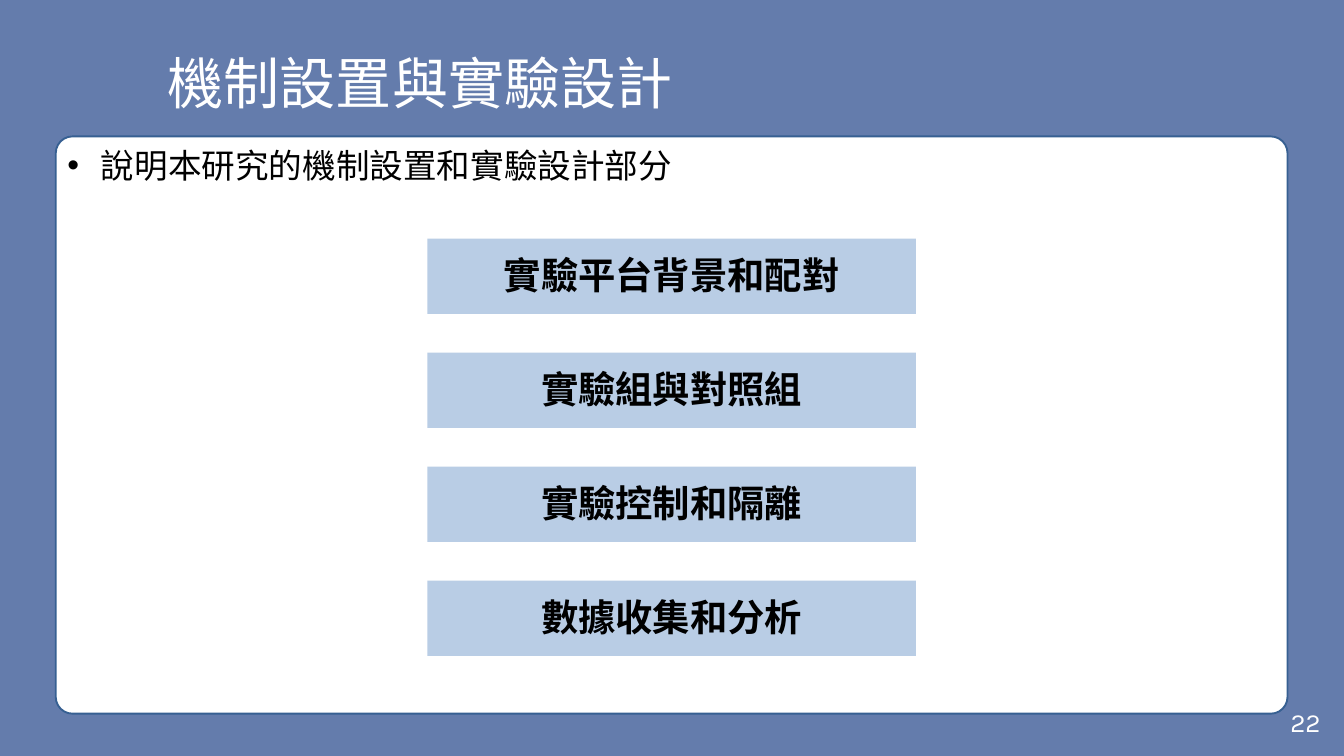
import pptx
import pptx.util
import pptx.dml.color
import pptx.enum.shapes
import pptx.enum.text
from lxml import etree

Inches = pptx.util.Inches
Pt = pptx.util.Pt
Shape = pptx.enum.shapes.MSO_SHAPE
Anchor = pptx.enum.text.MSO_ANCHOR
Align = pptx.enum.text.PP_ALIGN

COLOURS = {
    "background": "647CAC",
    "panel": "FFFFFF",
    "outline": "376092",
    "step": "B9CDE5",
    "dark": "000000",
    "light": "FFFFFF",
}
CJK_FONT = "Noto Sans CJK SC"
STEPS = ["實驗平台背景和配對", "實驗組與對照組", "實驗控制和隔離", "數據收集和分析"]


def colour(name):
    return pptx.dml.color.RGBColor.from_string(COLOURS[name])


def write(frame, text, size, font, ink, align=Align.LEFT, bold=False):
    frame.word_wrap = True
    para = frame.paragraphs[0]
    para.text = text
    para.alignment = align
    para.font.size = Pt(size)
    para.font.name = font
    para.font.bold = bold
    para.font.color.rgb = colour(ink)
    return para


def add_text(shapes, left, top, width, height, anchor=Anchor.TOP, inset=0):
    box = shapes.add_textbox(Inches(left), Inches(top), Inches(width), Inches(height))
    frame = box.text_frame
    frame.vertical_anchor = anchor
    frame.margin_left = frame.margin_right = Inches(inset)
    frame.margin_top = frame.margin_bottom = 0
    return frame


def add_block(shapes, kind, left, top, width, height, fill):
    block = shapes.add_shape(kind, Inches(left), Inches(top), Inches(width), Inches(height))
    block.shadow.inherit = False
    block.fill.solid()
    block.fill.fore_color.rgb = colour(fill)
    block.line.fill.background()
    return block


def add_title(page, left, top, width, height):
    frame = add_text(page.shapes, left, top, width, height, Anchor.MIDDLE)
    write(frame, "機制設置與實驗設計", 60, CJK_FONT, "light")


def add_panel(page, left, top, width, height):
    panel = add_block(page.shapes, Shape.ROUNDED_RECTANGLE, left, top, width, height, "panel")
    panel.adjustments[0] = 0.029
    panel.line.color.rgb = colour("outline")
    panel.line.width = Pt(2)
    frame = panel.text_frame
    frame.vertical_anchor = Anchor.TOP

    # Bullet with a hanging indent
    properties = frame.paragraphs[0]._p.get_or_add_pPr()
    properties.set("marL", str(Inches(0.5)))
    properties.set("indent", str(-Inches(0.5)))
    namespace = properties.nsmap["a"]
    etree.SubElement(properties, f"{{{namespace}}}buFont", typeface="Arial")
    etree.SubElement(properties, f"{{{namespace}}}buChar", char="•")
    write(frame, "說明本研究的機制設置和實驗設計部分", 36, CJK_FONT, "dark")


def add_steps(page, left, top, width, height):
    bar_height, label_height, side = 1.12, 0.63, 0.52
    pitch = (height - bar_height) / (len(STEPS) - 1)
    group = page.shapes.add_group_shape()
    for index, step in enumerate(STEPS):
        bar_top = top + index * pitch
        add_block(group.shapes, Shape.RECTANGLE, left, bar_top, width, bar_height, "step")
        label_top = bar_top + (bar_height - label_height) / 2
        frame = add_text(group.shapes, left + side, label_top, width - 2 * side, label_height)
        para = write(frame, step, 40, "Calibri", "dark", Align.CENTER, True)
        para.line_spacing = Pt(44.8)


def add_page_number(page, left, top, width, height):
    frame = add_text(page.shapes, left, top, width, height, Anchor.MIDDLE, 0.1)
    write(frame, "22", 28, "Karla", "light", Align.RIGHT)


def main():
    deck = pptx.Presentation()
    deck.slide_width, deck.slide_height = Inches(20), Inches(11.25)
    page = deck.slides.add_slide(deck.slide_layouts[6])
    page.background.fill.solid()
    page.background.fill.fore_color.rgb = colour("background")

    add_page_number(page, 17.42, 10.54, 2.33, 0.4)
    add_panel(page, 0.83, 2.03, 18.33, 8.59)
    add_steps(page, 6.36, 3.55, 7.27, 6.21)
    add_title(page, 2.5, 0.72, 8, 1.01)
    deck.save("out.pptx")


if __name__ == "__main__":
    main()
